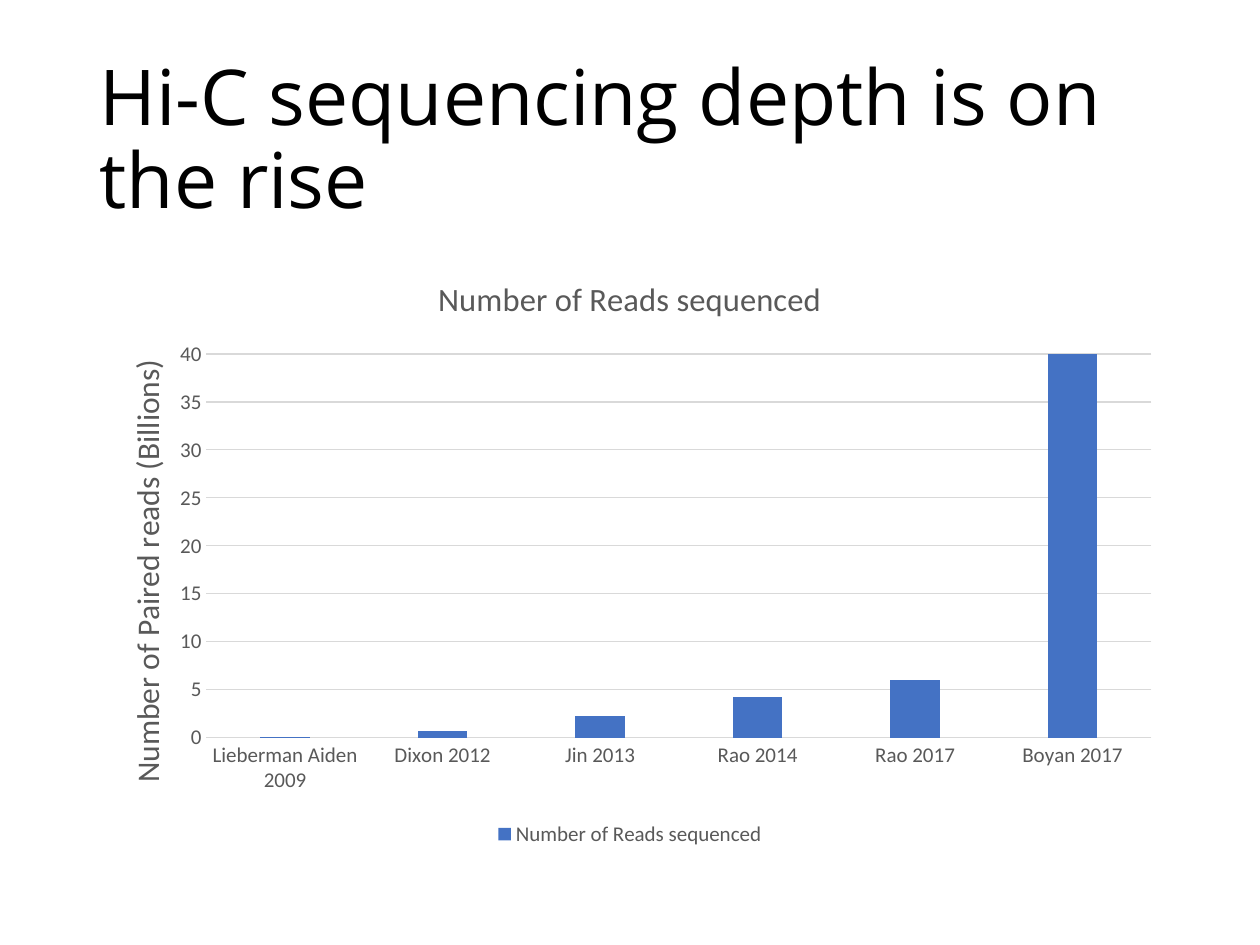
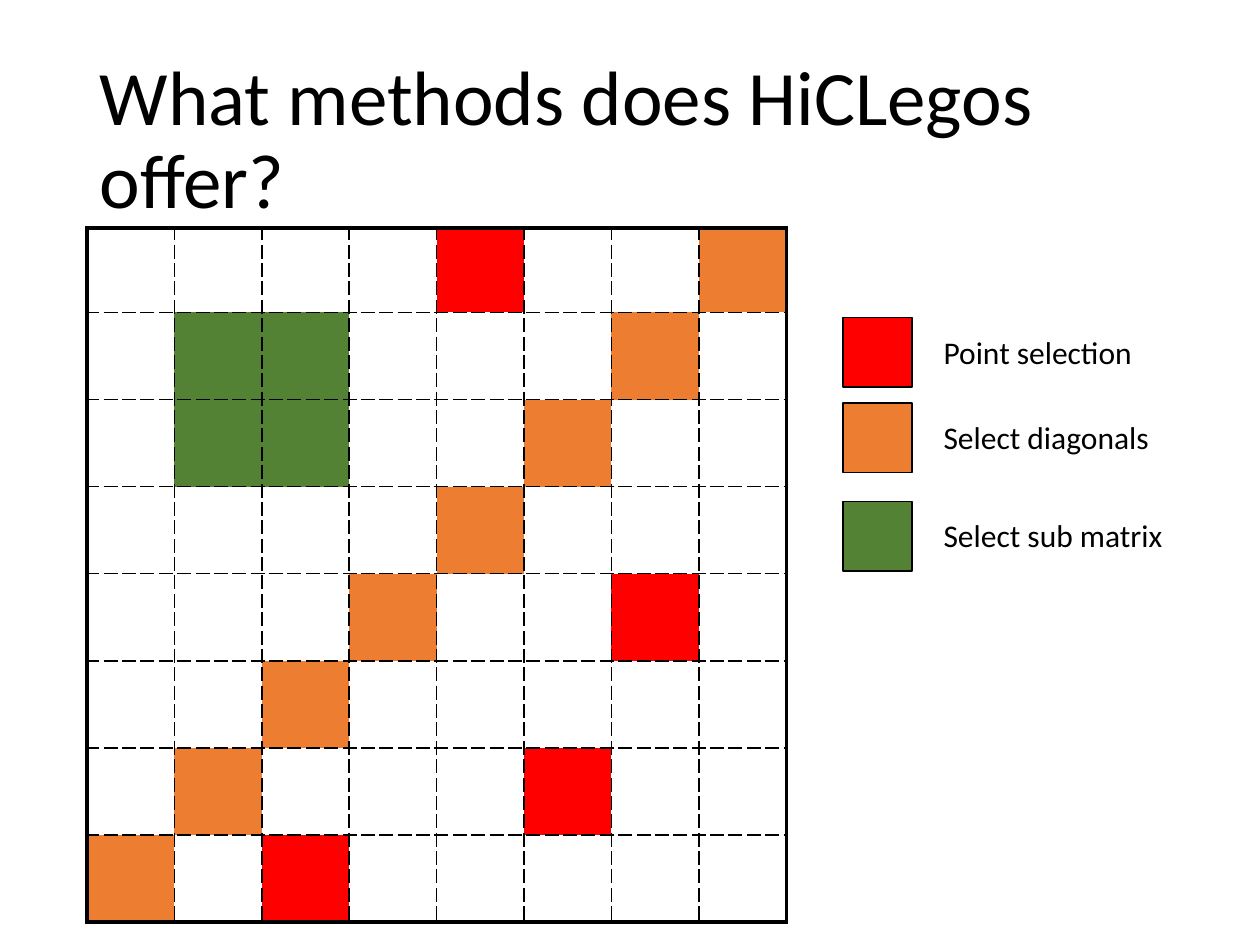
from pptx import Presentation
from pptx.chart.data import CategoryChartData
from pptx.dml.color import RGBColor
from pptx.enum.chart import XL_CHART_TYPE, XL_LEGEND_POSITION, XL_TICK_MARK
from pptx.enum.shapes import MSO_SHAPE
from pptx.enum.text import MSO_ANCHOR, MSO_AUTO_SIZE, PP_ALIGN
from pptx.oxml import parse_xml
from pptx.oxml.ns import nsdecls, qn
from pptx.util import Inches, Pt

COLORS = {
    "black": "000000",
    "gray": "595959",
    "rule": "D9D9D9",
    "bar": "4472C4",
    "point": "FF0000",
    "diagonal": "ED7D31",
    "submatrix": "548235",
}
BODY_FONT = "Calibri"
TITLE_BOX = (0.69, 0.4, 8.62, 1.45)
TITLE_ONLY_LAYOUT = 5

READS = {
    "Lieberman Aiden 2009": 0.1,
    "Dixon 2012": 0.7,
    "Jin 2013": 2.3,
    "Rao 2014": 4.2,
    "Rao 2017": 6,
    "Boyan 2017": 40,
}
MATRIX = (
    "....P..D",
    ".SS...D.",
    ".SS..D..",
    "....D...",
    "...D..P.",
    "..D.....",
    ".D...P..",
    "D.P.....",
)
SELECTIONS = {"P": "point", "D": "diagonal", "S": "submatrix"}
KEY_ROWS = (
    (0, "point", "Point selection"),
    (0.68, "diagonal", "Select diagonals"),
    (1.46, "submatrix", "Select sub matrix"),
)


def color(name):
    """Return the named colour."""
    return RGBColor.from_string(COLORS[name])


def style_font(font, size, color_name="black", name=BODY_FONT):
    """Set the size, colour and face of a font."""
    font.size = Pt(size)
    font.name = name
    font.bold = False
    font.color.rgb = color(color_name)


def add_titled_slide(presentation, title, font_name=BODY_FONT):
    """Add a slide with the shared title style."""
    slide = presentation.slides.add_slide(presentation.slide_layouts[TITLE_ONLY_LAYOUT])
    shape = slide.shapes.title
    shape.left, shape.top, shape.width, shape.height = map(Inches, TITLE_BOX)
    text_frame = shape.text_frame
    text_frame.text = title
    text_frame.auto_size = MSO_AUTO_SIZE.NONE
    text_frame.vertical_anchor = MSO_ANCHOR.MIDDLE
    paragraph = text_frame.paragraphs[0]
    paragraph.alignment = PP_ALIGN.LEFT
    paragraph.line_spacing = 0.9
    style_font(paragraph.runs[0].font, 44, name=font_name)
    return slide


def set_layout(element, index, target="", **fractions):
    """Place a chart part by fractions of the chart size."""
    for old_layout in element.findall(qn("c:layout")):
        element.remove(old_layout)
    target_tag = f'<c:layoutTarget val="{target}"/>' if target else ""
    modes = '<c:xMode val="edge"/><c:yMode val="edge"/>'
    values = "".join(f'<c:{key} val="{value}"/>' for key, value in fractions.items())
    element.insert(index, parse_xml(
        f'<c:layout {nsdecls("c")}><c:manualLayout>{target_tag}{modes}{values}'
        "</c:manualLayout></c:layout>"
    ))


def set_chart_text(text_frame, text, size):
    """Write a chart or axis title."""
    text_frame.text = text
    style_font(text_frame.paragraphs[0].runs[0].font, size, "gray")


def style_axes(chart):
    """Format both axes and the gridlines."""
    for axis in (chart.category_axis, chart.value_axis):
        axis.major_tick_mark = axis.minor_tick_mark = XL_TICK_MARK.NONE
        style_font(axis.tick_labels.font, 12, "gray")
    value_axis = chart.value_axis
    value_axis.minimum_scale, value_axis.maximum_scale = 0, 40
    value_axis.major_unit = 5
    value_axis.format.line.fill.background()
    for line in (chart.category_axis.format.line, value_axis.major_gridlines.format.line):
        line.color.rgb = color("rule")
        line.width = Pt(0.75)
    axis_title = value_axis.axis_title
    set_chart_text(axis_title.text_frame, "Number of Paired reads (Billions)", 18)
    set_layout(axis_title._element, 1, x=0.03, y=0.17)


def add_reads_chart(slide, left, top, width, height):
    """Add the column chart of sequencing depth."""
    chart_data = CategoryChartData()
    chart_data.categories = list(READS)
    chart_data.add_series("Number of Reads sequenced", list(READS.values()))
    chart = slide.shapes.add_chart(
        XL_CHART_TYPE.COLUMN_CLUSTERED, *map(Inches, (left, top, width, height)), chart_data
    ).chart
    style_font(chart.font, 10)
    chart.has_title = True
    set_chart_text(chart.chart_title.text_frame, "Number of Reads sequenced", 18.6)
    chart.chart_title.include_in_layout = False
    chart.has_legend = True
    chart.legend.position = XL_LEGEND_POSITION.BOTTOM
    chart.legend.include_in_layout = False
    style_font(chart.legend.font, 12, "gray")
    style_axes(chart)
    plot = chart.plots[0]
    plot.gap_width, plot.overlap = 219, -27
    plot.vary_by_categories = False
    fill = plot.series[0].format.fill
    fill.solid()
    fill.fore_color.rgb = color("bar")
    plot_area = chart._chartSpace.chart.plotArea
    set_layout(plot_area, 0, "inner", x=0.11, y=0.17, w=0.87, h=0.64)


def set_borders(cell, outer_sides):
    """Draw solid outer edges and dashed inner edges."""
    properties = cell._tc.get_or_add_tcPr()
    for index, side in enumerate("LRTB"):
        width, dash = (2.25, "solid") if side in outer_sides else (1, "dash")
        properties.insert(index, parse_xml(
            f'<a:ln{side} {nsdecls("a")} w="{Pt(width)}"><a:solidFill>'
            f'<a:srgbClr val="{COLORS["black"]}"/></a:solidFill>'
            f'<a:prstDash val="{dash}"/></a:ln{side}>'
        ))


def add_matrix(slide, left, top, width, height):
    """Add the contact matrix with its selected cells."""
    count = len(MATRIX)
    table = slide.shapes.add_table(
        count, count, *map(Inches, (left, top, width, height))
    ).table
    table.first_row = table.horz_banding = False
    first_height = 0.67
    for row in table.rows:
        row.height = Inches((height - first_height) / (count - 1))
    table.rows[0].height = Inches(first_height)
    last = count - 1
    for row_index, marks in enumerate(MATRIX):
        for column_index, mark in enumerate(marks):
            cell = table.cell(row_index, column_index)
            if mark in SELECTIONS:
                cell.fill.solid()
                cell.fill.fore_color.rgb = color(SELECTIONS[mark])
            else:
                cell.fill.background()
            edges = {"L": column_index == 0, "R": column_index == last,
                     "T": row_index == 0, "B": row_index == last}
            set_borders(cell, [side for side, is_outer in edges.items() if is_outer])


def add_key(slide, left, top):
    """Add the swatches and labels of the selection methods."""
    swatch_size = Inches(0.55)
    for offset, color_name, label in KEY_ROWS:
        swatch = slide.shapes.add_shape(
            MSO_SHAPE.RECTANGLE, Inches(left), Inches(top + offset), swatch_size, swatch_size
        )
        swatch.shadow.inherit = False
        swatch.fill.solid()
        swatch.fill.fore_color.rgb = color(color_name)
        swatch.line.color.rgb = color("black")
        swatch.line.width = Pt(1)
        text_frame = slide.shapes.add_textbox(
            Inches(left + 0.7), Inches(top + offset + 0.07), Inches(2.42), Inches(0.4)
        ).text_frame
        text_frame.word_wrap = True
        text_frame.auto_size = MSO_AUTO_SIZE.SHAPE_TO_FIT_TEXT
        text_frame.text = label
        style_font(text_frame.paragraphs[0].runs[0].font, 18)


def build_depth_slide(presentation):
    """Build the slide on sequencing depth."""
    slide = add_titled_slide(presentation, "Hi-C sequencing depth is on the rise", "Open Sans")
    add_reads_chart(slide, 0.69, 2, 8.62, 4.76)


def build_methods_slide(presentation):
    """Build the slide on selection methods."""
    slide = add_titled_slide(presentation, "What methods does HiCLegos offer?")
    add_matrix(slide, 0.69, 1.81, 5.55, 5.51)
    add_key(slide, 6.69, 2.52)


def main():
    """Build and save the presentation."""
    presentation = Presentation()
    presentation.slide_width, presentation.slide_height = Inches(10), Inches(7.5)
    build_depth_slide(presentation)
    build_methods_slide(presentation)
    presentation.save("out.pptx")


if __name__ == "__main__":
    main()
